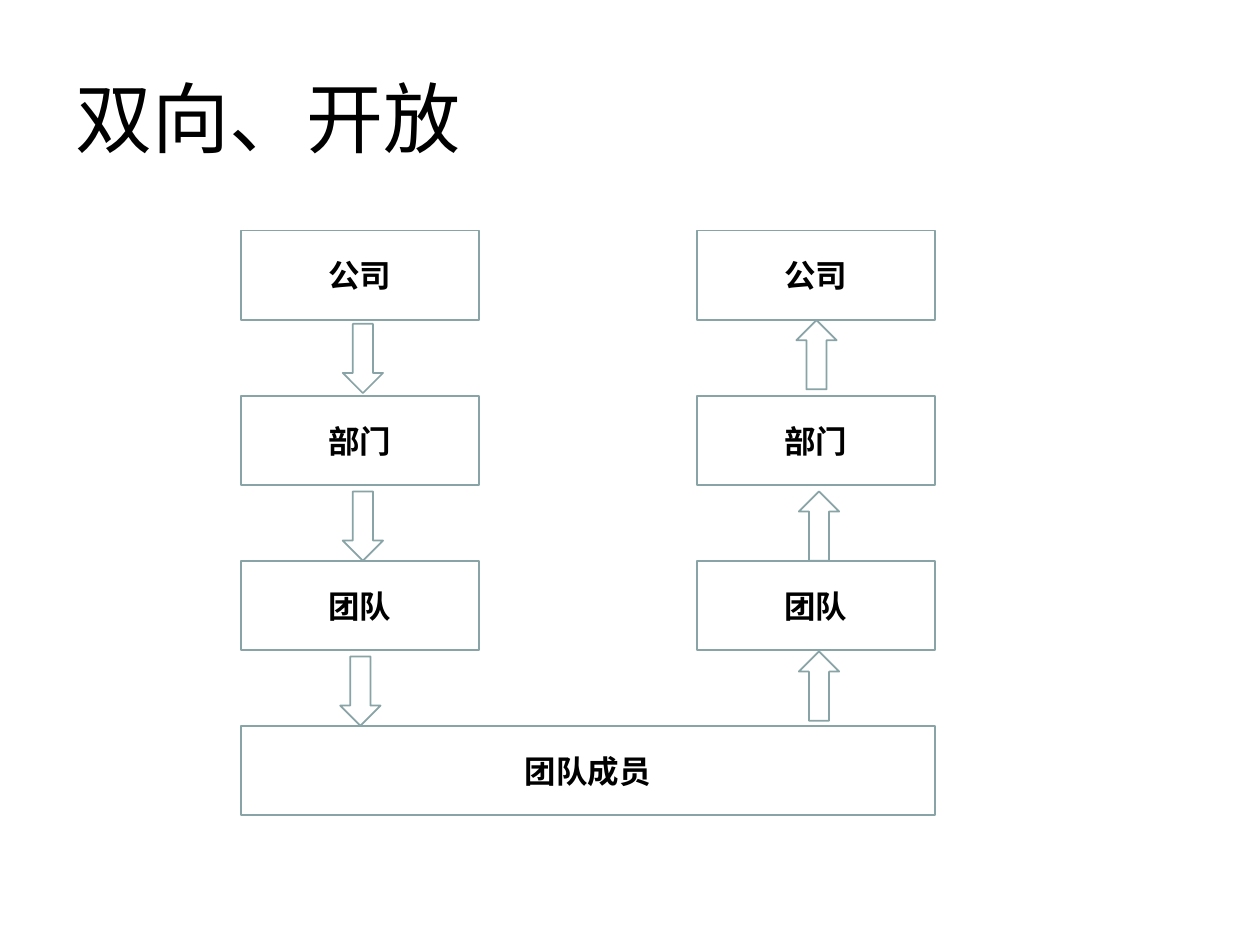
from pptx import Presentation
from pptx.dml.color import RGBColor
from pptx.enum.shapes import MSO_SHAPE
from pptx.enum.text import MSO_ANCHOR, PP_ALIGN
from pptx.util import Inches, Pt

TITLE = "双向、开放"
LEVELS = ["公司", "部门", "团队"]
BASE = "团队成员"
INK, EDGE = "000000", "89A4A7"

LEFT, TOP = 1.91, 1.83
COL, ROW = 3.62, 1.31
WIDE, HIGH = 1.89, 0.71
THIN, TALL = 0.32, 0.55

ARROWS = [
    (MSO_SHAPE.DOWN_ARROW, [(2.72, 2.57), (2.72, 3.9), (2.7, 5.21)]),
    (MSO_SHAPE.UP_ARROW, [(6.32, 2.54), (6.34, 3.9), (6.34, 5.17)]),
]


def color(code):
    return RGBColor.from_string(code)


def write(shape, text, size=18, bold=False, align=PP_ALIGN.CENTER):
    frame = shape.text_frame
    frame.word_wrap = True
    frame.vertical_anchor = MSO_ANCHOR.MIDDLE
    line = frame.paragraphs[0]
    line.alignment = align
    run = line.add_run()
    run.text = text
    font = run.font
    font.name, font.size, font.bold = "Arial", Pt(size), bold
    font.color.rgb = color(INK)


def draw(slide, kind, *area):
    shape = slide.shapes.add_shape(kind, *map(Inches, area))
    shape.shadow.inherit = False
    shape.fill.background()
    shape.line.color.rgb = color(EDGE)
    shape.line.width = Pt(1)
    return shape


def box(slide, text, col, row, wide=WIDE):
    shape = draw(slide, MSO_SHAPE.FLOWCHART_PROCESS,
                 LEFT + col * COL, TOP + row * ROW, wide, HIGH)
    write(shape, text, bold=True)


def main():
    deck = Presentation()
    deck.slide_width, deck.slide_height = Inches(10), Inches(7.5)
    slide = deck.slides.add_slide(deck.slide_layouts[6])

    title = slide.shapes.add_textbox(*map(Inches, (0.5, 0.3, 9, 1.25)))
    write(title, TITLE, size=44, align=PP_ALIGN.LEFT)

    for col in range(2):
        for row, text in enumerate(LEVELS):
            box(slide, text, col, row)
    box(slide, BASE, 0, len(LEVELS), COL + WIDE)

    for kind, spots in ARROWS:
        for left, top in spots:
            draw(slide, kind, left, top, THIN, TALL)

    deck.save("out.pptx")


if __name__ == "__main__":
    main()
